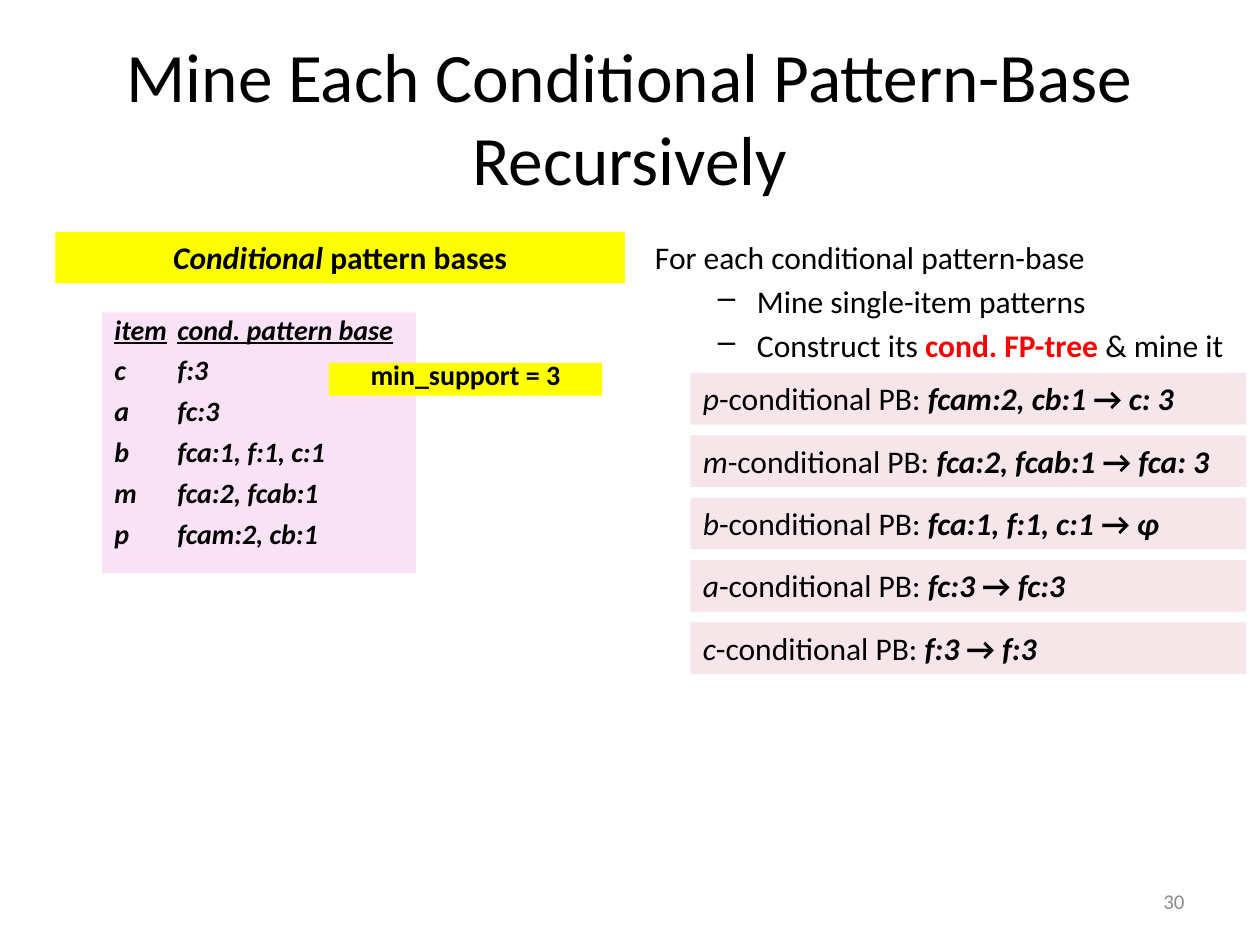
from dataclasses import dataclass, field
from lxml.etree import SubElement
from pptx import Presentation
from pptx.dml.color import RGBColor
from pptx.enum.shapes import MSO_SHAPE
from pptx.enum.text import MSO_ANCHOR, PP_ALIGN
from pptx.oxml.ns import qn
from pptx.util import Inches, Pt

COLS, ROWS = 100, 75
WIDE, HIGH = Inches(10), Inches(7.5)
FONT = "Calibri"
HUES = {
    "ink": "000000", "gray": "8C8C8C", "red": "FF0000",
    "gold": "FFFF00", "pink": "FAE2F6", "rose": "F6E6EA",
}
FACES = {
    "": {"bold": False, "italic": False},
    "b": {"bold": True, "italic": False},
    "i": {"bold": False, "italic": True},
    "bi": {"bold": True, "italic": True},
    "biu": {"bold": True, "italic": True, "underline": True},
}


@dataclass
class Run:
    text: str
    face: str = ""
    hue: str = "ink"


@dataclass
class Line:
    runs: list[Run]
    form: dict = field(default_factory=dict)
    dash: bool = False
    tab: float = 0


@dataclass
class Box:
    left: float
    top: float
    width: float
    height: float
    size: float
    lines: list[Line]
    fill: str = ""
    anchor: MSO_ANCHOR = MSO_ANCHOR.TOP


def put(item, form: dict) -> None:
    for name, value in form.items():
        setattr(item, name, value)


def add_run(para, run: Run, size: float) -> None:
    part = para.add_run()
    part.text = run.text
    put(part.font, {"name": FONT, "size": Pt(size), **FACES[run.face]})
    part.font.color.rgb = RGBColor.from_string(HUES[run.hue])


def add_line(para, line: Line, size: float) -> None:
    put(para, {"alignment": PP_ALIGN.LEFT, **line.form})
    props = para._p.get_or_add_pPr()
    if line.dash:
        para.level = 1
        props.set("marL", str(Inches(0.81)))
        props.set("indent", str(Inches(-0.31)))
        SubElement(props, qn("a:buChar"), char="–")
    if line.tab:
        tabs = SubElement(props, qn("a:tabLst"))
        SubElement(tabs, qn("a:tab"), pos=str(Inches(line.tab)), algn="l")
    for run in line.runs:
        add_run(para, run, size)


def add_box(slide, box: Box) -> None:
    col, row = WIDE / COLS, HIGH / ROWS
    place = [round(n) for n in (box.left * col, box.top * row, box.width * col, box.height * row)]
    if box.fill:
        shape = slide.shapes.add_shape(MSO_SHAPE.RECTANGLE, *place)
        shape.shadow.inherit = False
        shape.fill.solid()
        shape.fill.fore_color.rgb = RGBColor.from_string(HUES[box.fill])
        shape.line.fill.background()
    else:
        shape = slide.shapes.add_textbox(*place)
    frame = shape.text_frame
    put(frame, {"word_wrap": True, "vertical_anchor": box.anchor})
    for at, line in enumerate(box.lines):
        para = frame.add_paragraph() if at else frame.paragraphs[0]
        add_line(para, line, box.size)


MID = {"alignment": PP_ALIGN.CENTER}
END = {"alignment": PP_ALIGN.RIGHT}
NEAR = {"space_before": Pt(3.6)}
FAR = {"space_before": Pt(8), "line_spacing": 0.8}

BASES = [
    ("c", "f:3"), ("a", "fc:3"), ("b", "fca:1, f:1, c:1"),
    ("m", "fca:2, fcab:1"), ("p", "fcam:2, cb:1"),
]
FOUND = {"p": "c: 3", "m": "fca: 3", "b": "ɸ", "a": "fc:3", "c": "f:3"}

HEAD = Line([Run("item\tcond. pattern base", "biu")], FAR, tab=0.5)
ITEMS = [Line([Run(f"{item}\t{base}", "bi")], FAR, tab=0.5) for item, base in BASES]
STEPS = [
    Line([Run("For each conditional pattern-base")], NEAR),
    Line([Run("Mine single-item patterns")], NEAR, dash=True),
    Line([Run("Construct its "), Run("cond. FP-tree ", "b", "red"), Run("& mine it")], NEAR, dash=True),
]


def row_box(at: int, item: str, base: str) -> Box:
    runs = [
        Run(item, "i"), Run("-conditional PB: "), Run(f"{base} ", "bi"),
        Run("→ ", "b"), Run(FOUND[item], "bi"),
    ]
    return Box(54.8, 29.6 + 4.95 * at, 44.1, 4.1, 18, [Line(runs, NEAR)], "rose")


BOXES = [
    Box(5, 3, 90, 12.5, 39.6, [Line([Run("Mine Each Conditional Pattern-Base Recursively")], MID)],
        anchor=MSO_ANCHOR.MIDDLE),
    Box(71.7, 69.5, 23.3, 4, 12, [Line([Run("30", hue="gray")], END)], anchor=MSO_ANCHOR.MIDDLE),
    Box(51, 18.4, 49, 14.7, 18, STEPS),
    Box(8.1, 24.8, 24.9, 20.7, 16, [HEAD, *ITEMS], "pink"),
    Box(4.4, 18.4, 45.2, 4.1, 18,
        [Line([Run("Conditional ", "bi"), Run("pattern bases", "b")], MID)], "gold"),
    *[row_box(at, *pair) for at, pair in enumerate(reversed(BASES))],
    Box(26.1, 28.8, 21.7, 2.6, 16,
        [Line([Run("min_support = 3", "b")], {**MID, "line_spacing": 0.6})], "gold"),
]


def main() -> None:
    deck = Presentation()
    put(deck, {"slide_width": WIDE, "slide_height": HIGH})
    slide = deck.slides.add_slide(deck.slide_layouts[6])
    for box in BOXES:
        add_box(slide, box)
    deck.save("out.pptx")


if __name__ == "__main__":
    main()
